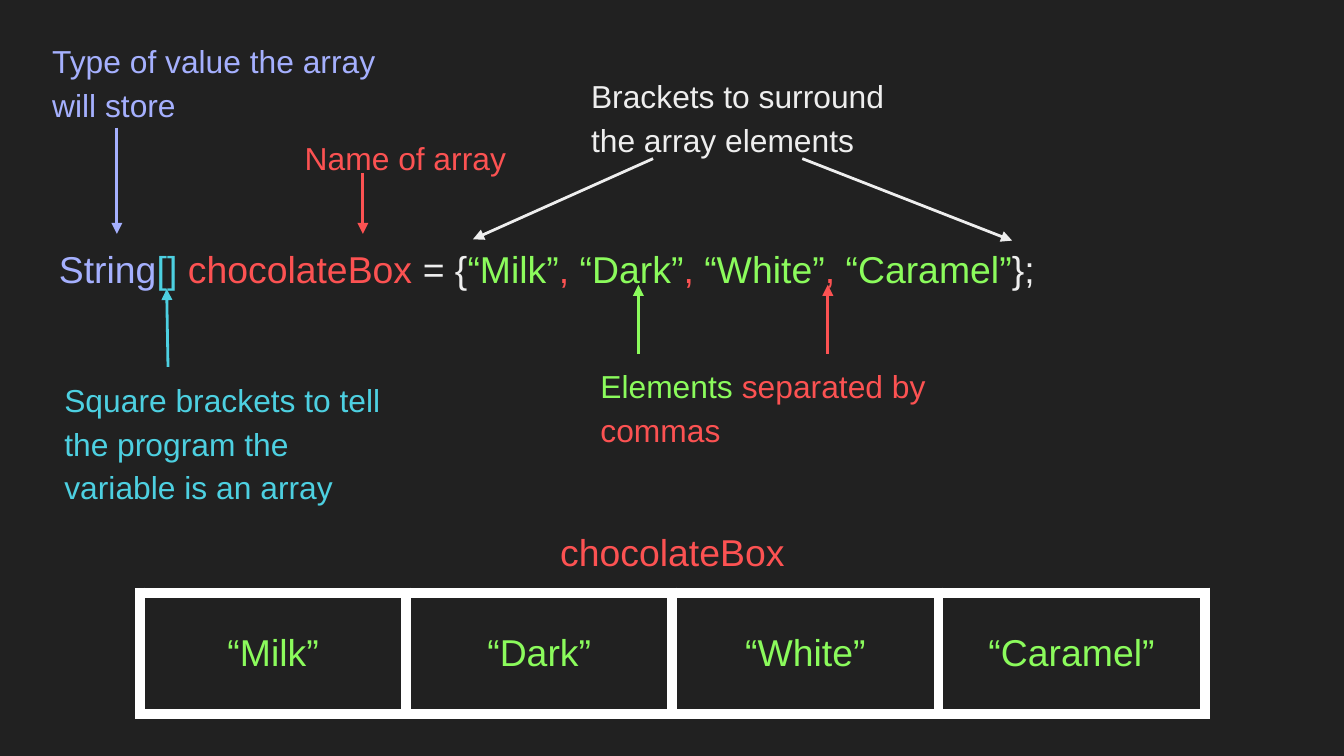
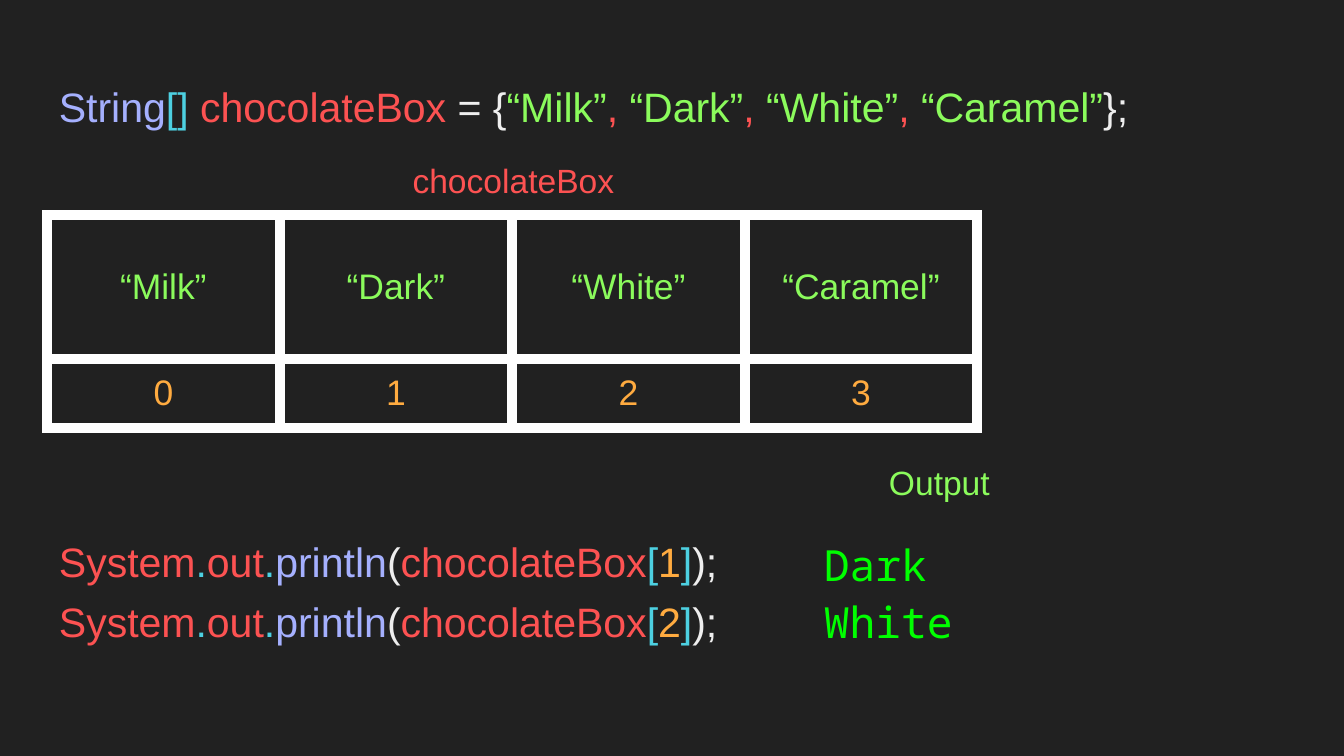
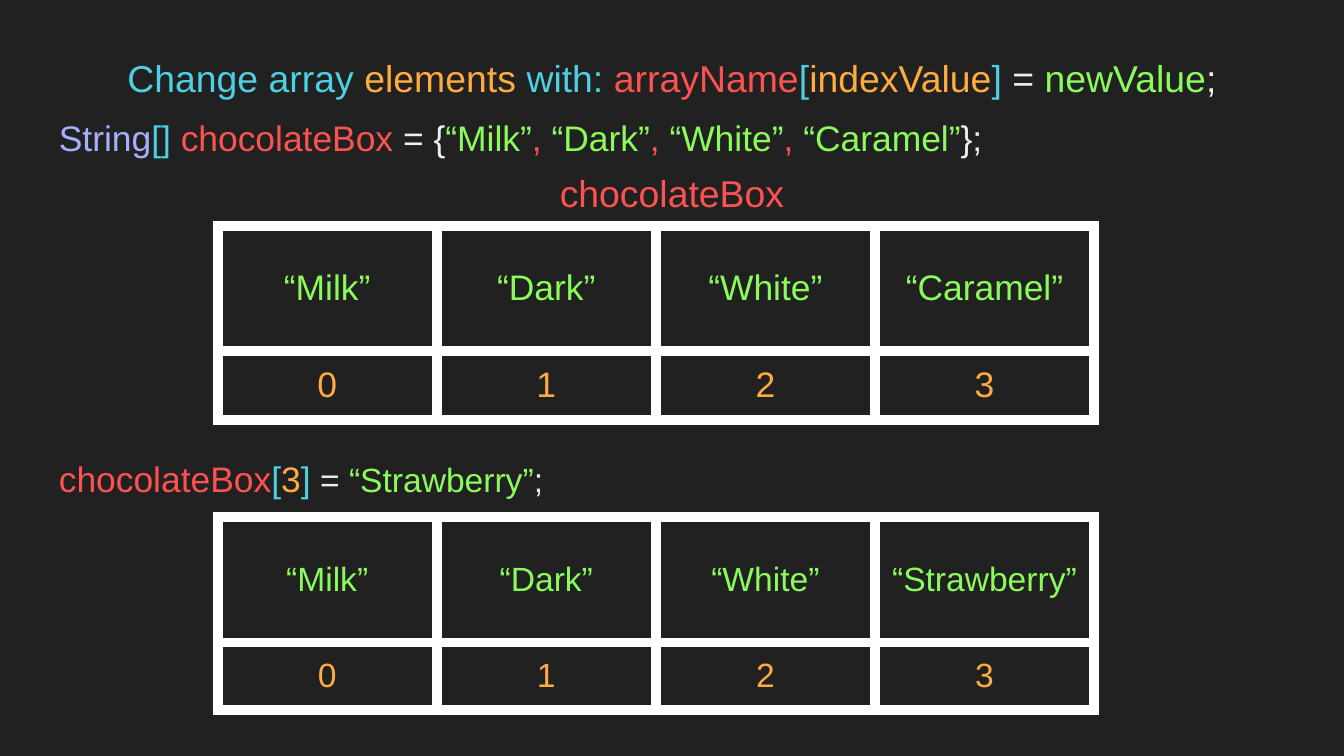
from lxml.etree import SubElement
from pptx import Presentation
from pptx.dml.color import RGBColor
from pptx.enum.shapes import MSO_CONNECTOR
from pptx.enum.text import MSO_ANCHOR as Anchor, PP_ALIGN as Align
from pptx.oxml import parse_xml
from pptx.oxml.ns import nsdecls, qn
from pptx.util import Pt

COLOURS = {
    "background": "212121",
    "type": "A5B0FE",
    "bracket": "4DD0E1",
    "name": "FC5252",
    "plain": "EEEEEE",
    "value": "8BFB5C",
    "index": "FFAB40",
    "console": "00FF00",
    "border": "FFFFFF",
}
RGB = {name: RGBColor.from_string(code) for name, code in COLOURS.items()}
FONT = "Arial"
CONSOLE_FONT = "Noto Sans Mono"
INSET = Pt(7.2)
CODE_LEFT = 24.5
CHOCOLATES = ["“Milk”", "“Dark”", "“White”", "“Caramel”"]
CHANGED = CHOCOLATES[:3] + ["“Strawberry”"]

DECLARATION = [("String", "type"), ("[] ", "bracket"), ("chocolateBox ", "name"),
               ("= {", "plain"), (CHOCOLATES[0], "value")]
for chocolate in CHOCOLATES[1:]:
    DECLARATION += [(",", "name"), (" " + chocolate, "value")]
DECLARATION.append(("};", "plain"))


def add_text(page, place, spans, size, spacing=1.0, after=0, align=Align.LEFT, font=FONT):
    box = page.shapes.add_textbox(*map(Pt, place))
    frame = box.text_frame
    frame.word_wrap = True
    frame.margin_left = frame.margin_right = INSET
    frame.margin_top = frame.margin_bottom = INSET
    para = frame.paragraphs[0]
    para.alignment = align
    para.line_spacing = spacing
    para.space_after = Pt(after)
    for text, colour in spans:
        span = para.add_run()
        span.text = text
        span.font.name = font
        span.font.size = Pt(size)
        span.font.color.rgb = RGB[colour]
    return box


def add_array(page, left, top, column_width, row_heights, values, size):
    rows = [(values, "value"), (range(len(values)), "index")][:len(row_heights)]
    table = page.shapes.add_table(
        len(rows), len(values), Pt(left), Pt(top),
        Pt(column_width * len(values)), Pt(sum(row_heights))).table
    table.first_row = table.horz_banding = False
    for column in table.columns:
        column.width = Pt(column_width)
    for row, (texts, colour) in enumerate(rows):
        table.rows[row].height = Pt(row_heights[row])
        for column, text in enumerate(texts):
            cell = table.cell(row, column)
            cell.text = str(text)
            cell.vertical_anchor = Anchor.MIDDLE
            cell.margin_left = cell.margin_right = INSET
            cell.margin_top = cell.margin_bottom = INSET
            para = cell.text_frame.paragraphs[0]
            para.alignment = Align.CENTER
            font = para.runs[0].font
            font.name = FONT
            font.size = Pt(size)
            font.color.rgb = RGB[colour]
            properties = cell._tc.get_or_add_tcPr()
            for side in ("lnL", "lnR", "lnT", "lnB"):
                properties.append(parse_xml(
                    f'<a:{side} {nsdecls("a")} w="{Pt(6)}"><a:solidFill>'
                    f'<a:srgbClr val="{COLOURS["border"]}"/></a:solidFill></a:{side}>'))
            cell.fill.background()


deck = Presentation()
deck.slide_width, deck.slide_height = Pt(720), Pt(405)
pages = [deck.slides.add_slide(deck.slide_layouts[6]) for _ in range(3)]
for page in pages:
    page.background.fill.solid()
    page.background.fill.fore_color.rgb = RGB["background"]
syntax_page, access_page, change_page = pages

add_text(syntax_page, (CODE_LEFT, 121, 638, 55.5), DECLARATION, 20, 1.15, 16)
add_array(syntax_page, 75, 317.5, 142.6, [64.8], CHOCOLATES, 20)
add_text(syntax_page, (218, 276.5, 284.5, 29.5), [("chocolateBox", "name")], 20,
         align=Align.CENTER)

notes = [
    (20.9, 12.2, [("Type of value the array will store", "type")]),
    (27.4, 193.7, [("Square brackets to tell the program the variable is an array",
                    "bracket")]),
    (156.2, 64.1, [("Name of array", "name")]),
    (314.6, 186.5, [("Elements", "value"), (" separated by commas", "name")]),
    (309.6, 31, [("Brackets to surround the array elements", "plain")]),
]
for left, top, spans in notes:
    add_text(syntax_page, (left, top, 189.4, 70.6), spans, 17, 1.15, 16)

arrows = [
    (62.6, 68.4, 62.6, 125.3, "type"),
    (90, 196.6, 89.3, 154.8, "bracket"),
    (194.4, 92.9, 194.4, 125.3, "name"),
    (342, 189.4, 342, 152.6, "value"),
    (429.8, 85, 542.2, 128.9, "plain"),
    (349.9, 85, 253.4, 128.2, "plain"),
    (443.5, 189.4, 443.5, 152.6, "name"),
]
for *ends, colour in arrows:
    arrow = syntax_page.shapes.add_connector(MSO_CONNECTOR.STRAIGHT, *map(Pt, ends))
    arrow.line.color.rgb = RGB[colour]
    arrow.line.width = Pt(1.5)
    SubElement(arrow.line._get_or_add_ln(), qn("a:tailEnd"), type="triangle")
    SubElement(arrow._element.spPr, qn("a:effectLst"))

for top, text in [(277.2, "Dark"), (307.7, "White")]:
    box = add_text(access_page, (427, top, 165.6, 384.5 - top), [(text, "console")], 23,
                   1.15, font=CONSOLE_FONT)
    box.text_frame.margin_left = Pt(14.4)
for top, index, spacing in [(276.5, "1", 1.15), (312.5, "2", 1.0)]:
    call = [("System", "name"), (".", "bracket"), ("out", "name"), (".", "bracket"),
            ("println", "type"), ("(", "plain"), ("chocolateBox", "name"),
            ("[", "bracket"), (index, "index"), ("]", "bracket"), (");", "plain")]
    add_text(access_page, (CODE_LEFT, top, 385.2, 38.9), call, 22, spacing)
add_text(access_page, (CODE_LEFT, 36.7, 655.2, 38.9), DECLARATION, 22, after=16)
add_array(access_page, 25.2, 115.2, 124.6, [77, 29.5], CHOCOLATES, 19)
add_text(access_page, (25.2, 78.5, 499.7, 29.5), [("chocolateBox", "name")], 18,
         align=Align.CENTER)
add_text(access_page, (420.5, 240.5, 165.6, 29.5), [("Output", "value")], 18,
         align=Align.CENTER)

add_text(change_page, (CODE_LEFT, 54.7, 655.2, 41.8), DECLARATION, 19, after=16)
add_text(change_page, (110.2, 84.2, 499.7, 29.5), [("chocolateBox", "name")], 20,
         align=Align.CENTER)
rule = [("Change array ", "bracket"), ("elements", "index"), (" with: ", "bracket"),
        ("arrayName", "name"), ("[", "bracket"), ("indexValue", "index"),
        ("] ", "bracket"), ("= ", "plain"), ("newValue", "value"), (";", "plain")]
add_text(change_page, (CODE_LEFT, 18.7, 671, 41.8), rule, 20, 1.15, 16, Align.CENTER)
assignment = [("chocolateBox", "name"), ("[", "bracket"), ("3", "index"),
              ("]", "bracket"), (" = ", "plain"), ("“Strawberry”", "value"),
              (";", "plain")]
box = add_text(change_page, (CODE_LEFT, 234, 655.2, 41.8), assignment, 19, 1.15)
for span in box.text_frame.paragraphs[0].runs[4:]:
    span.font.size = Pt(18)
for top, values, size in [(121, CHOCOLATES, 19), (277.2, CHANGED, 18)]:
    add_array(change_page, 116.6, top, 117.4, [67, 30.2], values, size)

deck.save("out.pptx")
